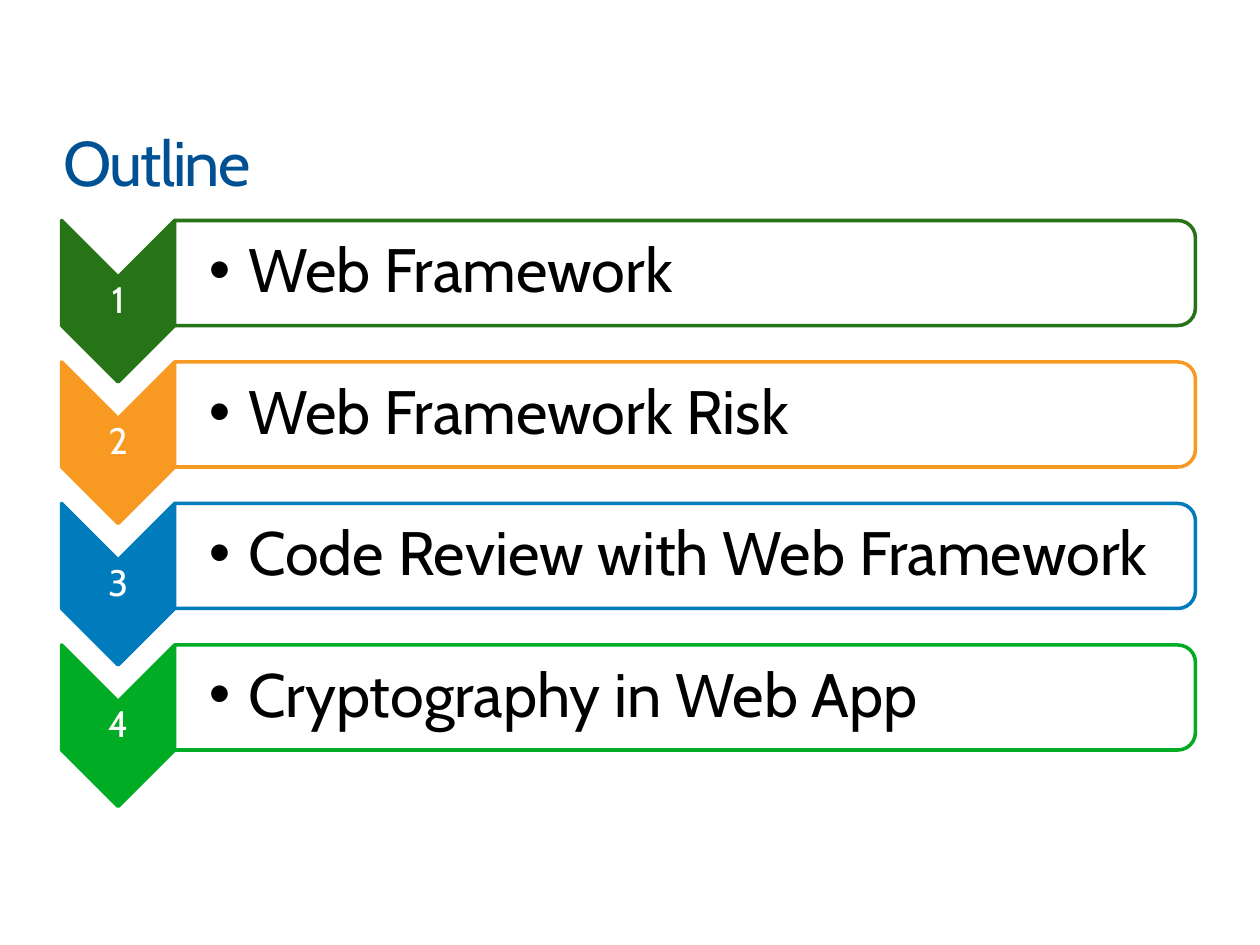
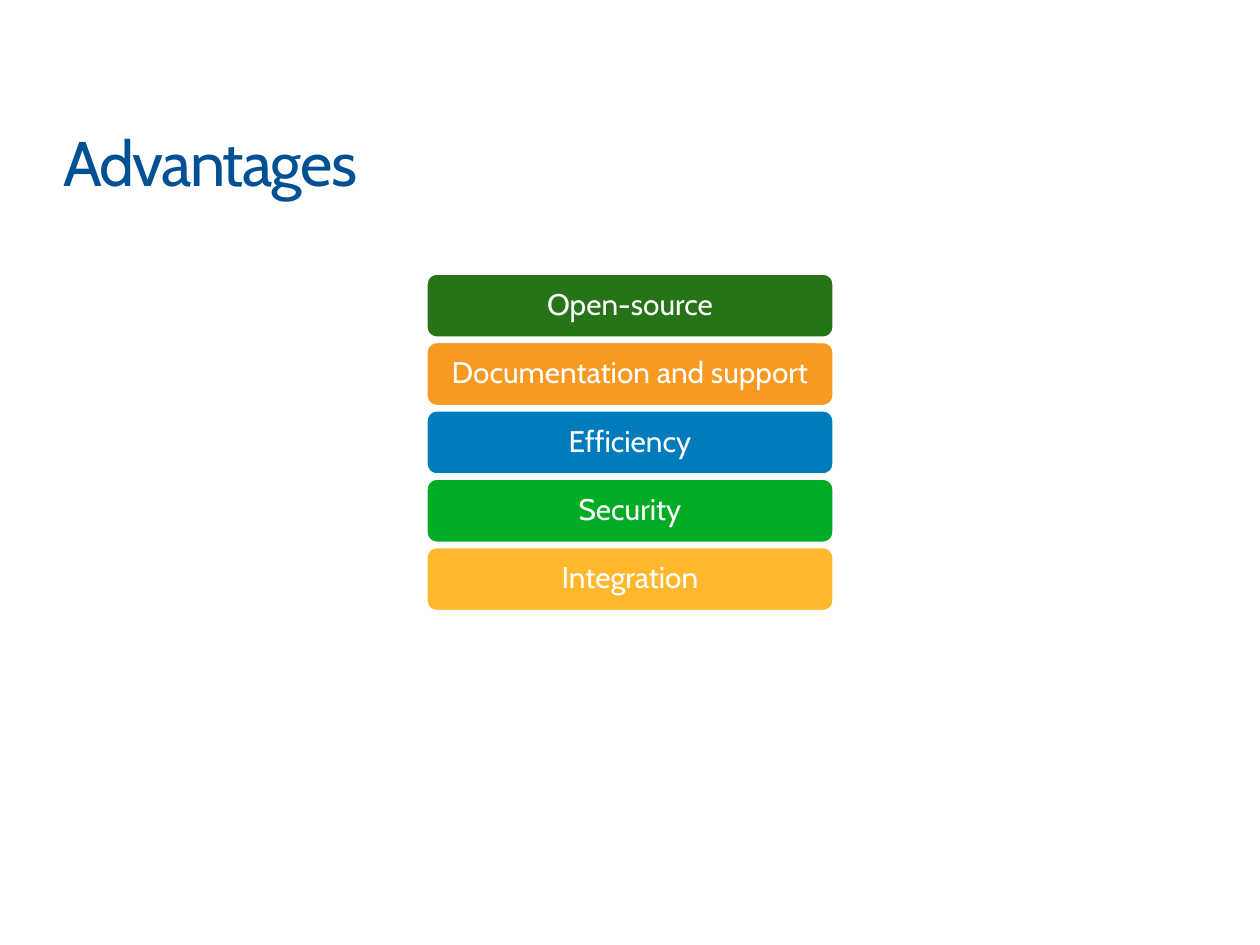
import pptx
import pptx.dml.color
import pptx.enum.shapes
import pptx.enum.text
import pptx.oxml
import pptx.oxml.ns
import pptx.util

Pt = pptx.util.Pt
Shape = pptx.enum.shapes.MSO_SHAPE
Align = pptx.enum.text.PP_ALIGN
Anchor = pptx.enum.text.MSO_ANCHOR

FONT = "Cabin"
TITLE_COLOR = "005194"
WHITE = "FFFFFF"
BLACK = "000000"
ACCENTS = ["277318", "F89A21", "007CBD", "00AC24", "FFB82E"]

OUTLINE = [
    "Web Framework",
    "Web Framework Risk",
    "Code Review with Web Framework",
    "Cryptography in Web App",
]
ADVANTAGES = [
    "Open-source",
    "Documentation and support",
    "Efficiency",
    "Security",
    "Integration",
]


def color(hex_value):
    return pptx.dml.color.RGBColor.from_string(hex_value)


def apply(target, values):
    for name, value in values.items():
        setattr(target, name, value)


class Deck:
    def __init__(self):
        self.presentation = pptx.Presentation()
        apply(self.presentation, {"slide_width": Pt(720), "slide_height": Pt(540)})
        self.slide = None

    def add_slide(self, title):
        layout = self.presentation.slide_layouts.get_by_name("Title Only")
        self.slide = self.presentation.slides.add_slide(layout)
        shape = self.slide.shapes.title
        apply(shape, {"left": Pt(36), "top": Pt(70.5), "width": Pt(648), "height": Pt(44)})
        run = self.set_text(shape, title, 36, TITLE_COLOR, align=Align.LEFT,
                            anchor=Anchor.TOP, line_spacing=1.0)
        run.font._element.set("spc", "-100")

    def set_text(self, shape, text, size, text_color, margins=(0, 0), align=Align.CENTER,
                 anchor=Anchor.MIDDLE, line_spacing=0.9):
        side, edge = margins
        frame = shape.text_frame
        apply(frame, {
            "word_wrap": True,
            "auto_size": pptx.enum.text.MSO_AUTO_SIZE.NONE,
            "vertical_anchor": anchor,
            "margin_left": Pt(side),
            "margin_right": Pt(min(side, 5)),
            "margin_top": Pt(edge),
            "margin_bottom": Pt(edge),
        })
        paragraph = frame.paragraphs[0]
        apply(paragraph, {"alignment": align, "line_spacing": line_spacing})
        run = paragraph.add_run()
        run.text = text
        apply(run.font, {"name": FONT, "size": Pt(size), "bold": False})
        run.font.color.rgb = color(text_color)
        return run

    def add_shape(self, kind, left, top, width, height, fill, line):
        shape = self.slide.shapes.add_shape(kind, Pt(left), Pt(top), Pt(width), Pt(height))
        shape.shadow.inherit = False
        shape.fill.solid()
        shape.fill.fore_color.rgb = color(fill)
        shape.line.color.rgb = color(line)
        shape.line.width = Pt(2)
        return shape

    def add_quarter_turned(self, kind, left, top, width, height, fill, line):
        shift = (width - height) / 2
        shape = self.add_shape(kind, left + shift, top - shift, height, width, fill, line)
        shape.rotation = 90

    def add_text(self, left, top, width, height, text, size, text_color, **style):
        box = self.slide.shapes.add_textbox(Pt(left), Pt(top), Pt(width), Pt(height))
        self.set_text(box, text, size, text_color, **style)
        return box

    def add_bullet_text(self, left, top, width, height, text, size):
        box = self.add_text(left, top, width, height, text, size, BLACK,
                            margins=(19.6, 1.6), align=Align.LEFT)
        properties = box.text_frame.paragraphs[0]._p.get_or_add_pPr()
        indent = Pt(22.5)
        properties.set("marL", str(indent))
        properties.set("indent", str(-indent))
        namespace = pptx.oxml.ns.nsdecls("a")
        properties.append(pptx.oxml.parse_xml(f'<a:buFont {namespace} typeface="Arial"/>'))
        properties.append(pptx.oxml.parse_xml(f'<a:buChar {namespace} char="•"/>'))


def build_outline(deck):
    deck.add_slide("Outline")
    left, first_top, pitch = 35.2, 126, 80.85
    chevron_width, chevron_height = 64.6, 92.3
    bar_width, bar_height = 583.3, 60
    bar_left = left + chevron_width
    for index, (topic, accent) in enumerate(zip(OUTLINE, ACCENTS)):
        top = first_top + index * pitch
        deck.add_quarter_turned(Shape.CHEVRON, left, top, chevron_width, chevron_height,
                                accent, accent)
        deck.add_text(left, top + chevron_width / 2, chevron_width,
                      chevron_height - chevron_width, str(index + 1), 21, WHITE)
        deck.add_quarter_turned(Shape.ROUND_2_SAME_RECTANGLE, bar_left, top,
                                bar_width, bar_height, WHITE, accent)
        deck.add_bullet_text(bar_left, top + 3, bar_width - 3, bar_height - 6, topic, 35)


def build_advantages(deck):
    deck.add_slide("Advantages")
    width, height, first_top, pitch = 233.2, 37.2, 156.1, 39.06
    left = (720 - width) / 2
    for index, (advantage, accent) in enumerate(zip(ADVANTAGES, ACCENTS)):
        bar = deck.add_shape(Shape.ROUNDED_RECTANGLE, left, first_top + index * pitch,
                             width, height, accent, WHITE)
        deck.set_text(bar, advantage, 17, WHITE, margins=(5, 3))


def main():
    deck = Deck()
    build_outline(deck)
    build_advantages(deck)
    deck.presentation.save("out.pptx")


if __name__ == "__main__":
    main()
